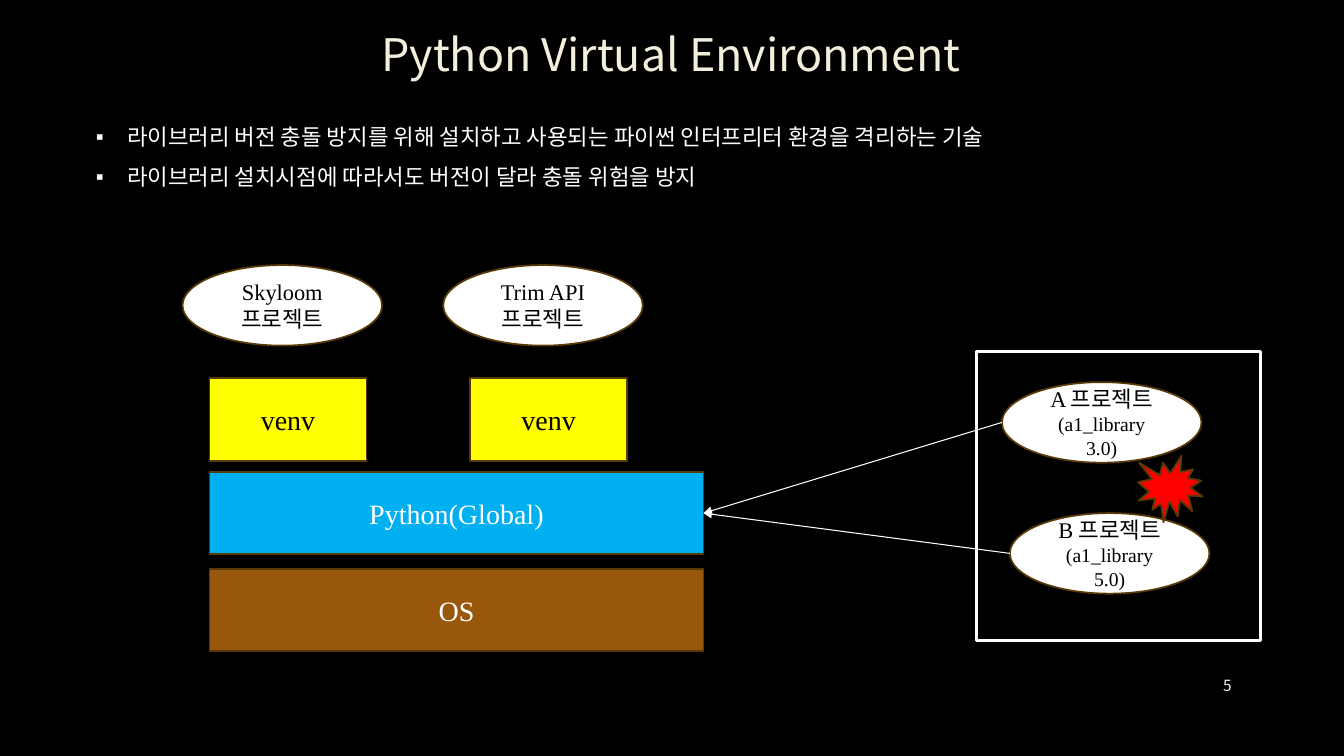
"""Build the Python virtual environment slide."""
from lxml.etree import SubElement
from pptx import Presentation
from pptx.dml.color import RGBColor
from pptx.enum.shapes import MSO_CONNECTOR, MSO_SHAPE
from pptx.enum.text import MSO_ANCHOR, MSO_AUTO_SIZE, PP_ALIGN
from pptx.oxml.ns import qn
from pptx.util import Cm, Pt

COLORS = {
    "black": "000000", "white": "FFFFFF", "cream": "F4EEDC", "grey": "F2F2F2",
    "blue": "00B0F0", "brown": "99570C", "dark": "593906", "yellow": "FFFF00",
    "red": "FF0000",
}
SANS, SERIF, BULLET_FONT = "Noto Sans CJK KR", "Times New Roman", "Arial"

TITLE = "Python Virtual Environment"
BULLETS = [
    "라이브러리 버전 충돌 방지를 위해 설치하고 사용되는 파이썬 인터프리터 환경을 격리하는 기술",
    "라이브러리 설치시점에 따라서도 버전이 달라 충돌 위험을 방지",
]
PAGE_NUMBER = "5"
LAYERS = [("Python(Global)", "blue", 11.89), ("OS", "brown", 14.33)]
ISOLATED_PROJECTS = ["Skyloom", "Trim API"]
CLASHING_PROJECTS = [
    ("A 프로젝트", "(a1_library 3.0)", 25.25, 9.63),
    ("B 프로젝트", "(a1_library 5.0)", 25.45, 12.93),
]

STACK_LEFT, LAYER_WIDTH, BOX_HEIGHT = 5.28, 12.45, 2.08
VENV_TOP, VENV_WIDTH, COLUMN_STEP = 9.53, 3.96, 6.57
PROJECT_LEFT, PROJECT_TOP = 4.6, 6.68
PROJECT_WIDTH, PROJECT_HEIGHT = 5.03, 2.03


def color(name):
    return RGBColor.from_string(COLORS[name])


def place(shape, left, top, width, height):
    box = {"left": left, "top": top, "width": width, "height": height}
    for name, value in box.items():
        setattr(shape, name, Cm(value))


def write(shape, lines, font, ink, align=PP_ALIGN.CENTER,
          anchor=MSO_ANCHOR.MIDDLE, spacing=1.0):
    """Fill a shape with (text, size) lines, one paragraph each."""
    frame = shape.text_frame
    frame_format = {"word_wrap": True, "auto_size": MSO_AUTO_SIZE.NONE,
                    "vertical_anchor": anchor}
    for name, value in frame_format.items():
        setattr(frame, name, value)
    for index, (text, size) in enumerate(lines):
        paragraph = frame.add_paragraph() if index else frame.paragraphs[0]
        paragraph_format = {"alignment": align, "line_spacing": spacing,
                            "space_before": Pt(0), "space_after": Pt(0)}
        for name, value in paragraph_format.items():
            setattr(paragraph, name, value)
        run = paragraph.add_run()
        run.text = text
        for name, value in {"name": font, "size": Pt(size)}.items():
            setattr(run.font, name, value)
        run.font.color.rgb = color(ink)
        SubElement(run.font._element, qn("a:ea"), typeface=SANS)


def add_bullets(shape):
    for paragraph in shape.text_frame.paragraphs:
        properties = paragraph._p.get_or_add_pPr()
        properties.set("marL", str(Cm(0.79)))
        properties.set("indent", str(-Cm(0.79)))
        SubElement(properties, qn("a:buFont"), typeface=BULLET_FONT)
        SubElement(properties, qn("a:buChar"), char="▪")


def add_figure(slide, kind, box, fill=None, line="dark", weight=1.25):
    shape = slide.shapes.add_shape(kind, *(Cm(value) for value in box))
    shape.shadow.inherit = False
    if fill:
        shape.fill.solid()
        shape.fill.fore_color.rgb = color(fill)
    else:
        shape.fill.background()
    shape.line.color.rgb = color(line)
    shape.line.width = Pt(weight)
    return shape


def add_project(slide, left, top, lines):
    box = (left, top, PROJECT_WIDTH, PROJECT_HEIGHT)
    project = add_figure(slide, MSO_SHAPE.OVAL, box, "white")
    write(project, lines, SERIF, "black")
    return project


def add_arrow(slide, project, target):
    arrow = slide.shapes.add_connector(
        MSO_CONNECTOR.STRAIGHT, project.left, project.top + project.height // 2,
        target.left + target.width, target.top + target.height // 2)
    arrow.end_connect(target, 3)
    arrow.line.color.rgb = color("white")
    arrow.line.width = Pt(0.75)
    SubElement(arrow.line._get_or_add_ln(), qn("a:tailEnd"), type="triangle")
    SubElement(arrow._element.spPr, qn("a:effectLst"))


def main():
    presentation = Presentation()
    presentation.slide_width, presentation.slide_height = Cm(33.87), Cm(19.05)
    slide = presentation.slides.add_slide(presentation.slide_layouts[1])
    slide.background.fill.solid()
    slide.background.fill.fore_color.rgb = color("black")

    title, body = slide.placeholders
    place(title, 2.54, 0.38, 28.75, 2.13)
    write(title, [(TITLE, 32)], SANS, "cream", spacing=0.9)
    place(body, 2.16, 2.64, 26, 2.18)
    write(body, [(text, 16) for text in BULLETS], BULLET_FONT, "white",
          PP_ALIGN.LEFT, MSO_ANCHOR.TOP, 1.5)
    add_bullets(body)

    number = slide.shapes.add_textbox(Cm(29.21), Cm(16.76), Cm(2.08), Cm(1.02))
    write(number, [(PAGE_NUMBER, 11)], SANS, "grey", PP_ALIGN.RIGHT)

    layers = []
    for text, fill, top in LAYERS:
        box = (STACK_LEFT, top, LAYER_WIDTH, BOX_HEIGHT)
        layer = add_figure(slide, MSO_SHAPE.RECTANGLE, box, fill)
        write(layer, [(text, 20)], SERIF, "white")
        layers.append(layer)

    for column, name in enumerate(ISOLATED_PROJECTS):
        shift = column * COLUMN_STEP
        box = (STACK_LEFT + shift, VENV_TOP, VENV_WIDTH, BOX_HEIGHT)
        venv = add_figure(slide, MSO_SHAPE.RECTANGLE, box, "yellow")
        write(venv, [("venv", 20)], SERIF, "black")
        add_project(slide, PROJECT_LEFT + shift, PROJECT_TOP,
                    [(name, 16), ("프로젝트", 16)])

    add_figure(slide, MSO_SHAPE.RECTANGLE, (24.61, 8.86, 7.16, 7.29),
               line="white", weight=2.25)
    for name, library, left, top in CLASHING_PROJECTS:
        project = add_project(slide, left, top, [(name, 16), (library, 14)])
        add_arrow(slide, project, layers[0])
    add_figure(slide, MSO_SHAPE.EXPLOSION1, (28.68, 11.48, 1.63, 1.68), "red")

    presentation.save("out.pptx")


if __name__ == "__main__":
    main()
